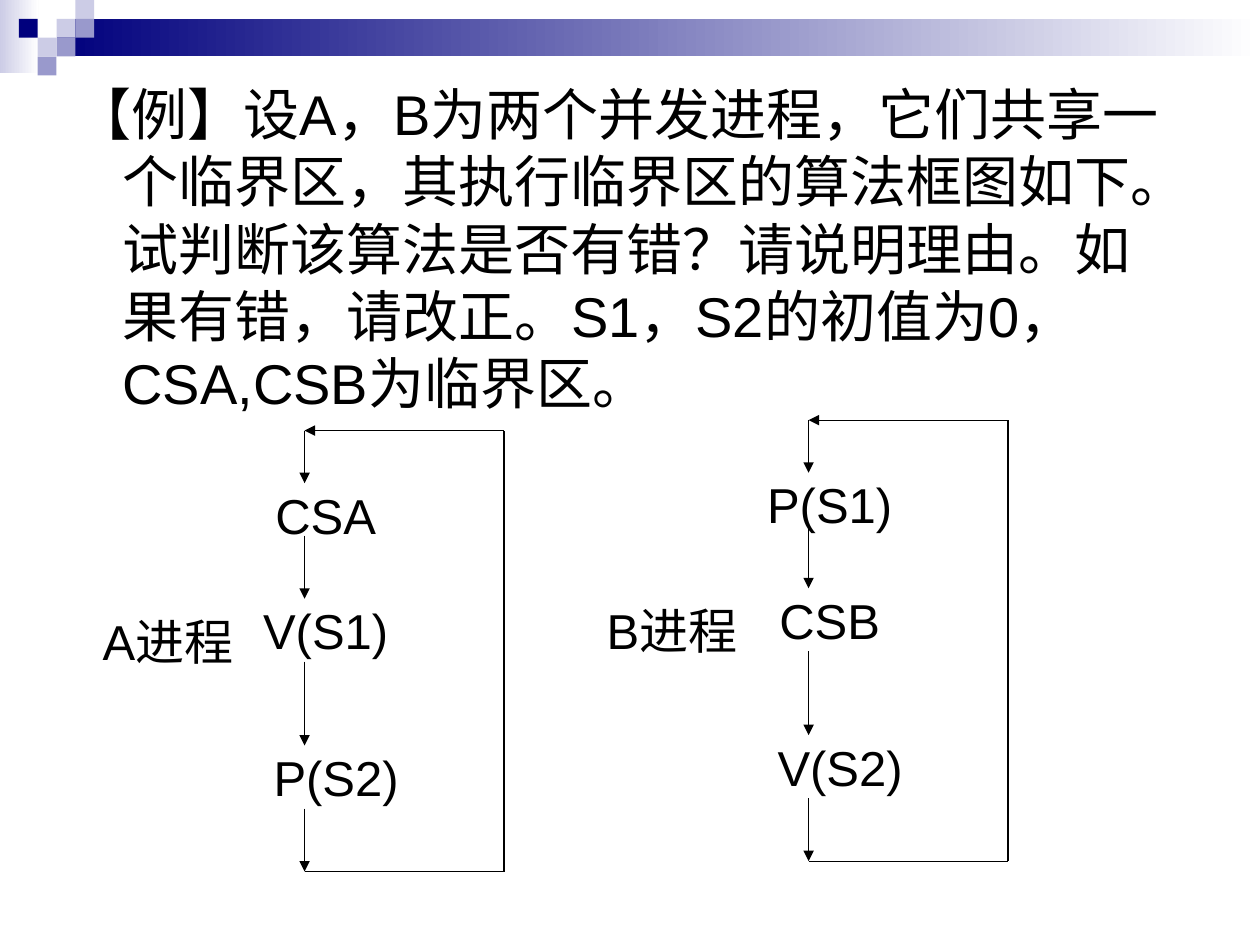
from dataclasses import dataclass

from lxml import etree
from pptx import Presentation
from pptx import util as u
from pptx.dml.color import RGBColor
from pptx.enum import shapes, text
from pptx.oxml.ns import qn
from pptx.slide import Slide

COLOURS = {
    "ink": "000000",
    "white": "FFFFFF",
    "navy": "00007D",
    "violet": "9999CC",
    "lavender": "CCCCE6",
}
FONT = "Arial"
CELL = 0.38  # side of a header square, cm
LABEL_WIDTH, LABEL_HEIGHT = 3.39, 1.69
LOOP_WIDTH, LOOP_HEIGHT = 4.02, 8.89

QUESTION = (
    "【例】设A，B为两个并发进程，它们共享一个临界区，其执行临界区的算法框图如下。"
    "试判断该算法是否有错？请说明理由。如果有错，请改正。"
    "S1，S2的初值为0，CSA,CSB为临界区。"
)


@dataclass(frozen=True)
class Square:
    column: int
    row: int
    colour: str


@dataclass(frozen=True)
class Process:
    name: str
    steps: tuple[str, str, str]
    x: float
    y: float


SQUARES = [
    Square(3, 1, "lavender"),
    Square(4, 0, "lavender"),
    Square(4, 1, "violet"),
    Square(2, 2, "lavender"),
    Square(1, 1, "navy"),
    Square(3, 2, "violet"),
    Square(2, 3, "violet"),
]
PROCESSES = [
    Process("A进程", ("CSA", "V(S1)", "P(S2)"), 6.14, 8.68),
    Process("B进程", ("P(S1)", "CSB", "V(S2)"), 16.3, 8.47),
]
# Offsets from the top left corner of a process loop, in cm
STEP_OFFSETS = [(-1.27, 0.85), (-1.27, 3.18), (-1.06, 6.14)]
NAME_OFFSET = (-4.45, 3.39)
ARROW_SPANS = [(0, 1.06), (2.12, 3.39), (4.66, 6.35), (7.62, LOOP_HEIGHT)]


def rgb(name: str) -> RGBColor:
    return RGBColor.from_string(COLOURS[name])


def add_rectangle(slide: Slide, left: float, top: float, width: float,
                  height: float, colour: str, fade: bool = False) -> None:
    """Draw a borderless rectangle, fading to white on the right if asked."""
    shape = slide.shapes.add_shape(
        shapes.MSO_SHAPE.RECTANGLE, u.Cm(left), u.Cm(top), u.Cm(width), u.Cm(height))
    shape.shadow.inherit = False
    shape.line.fill.background()
    if fade:
        shape.fill.gradient()
        shape.fill.gradient_angle = 0
        for stop, name in zip(shape.fill.gradient_stops, (colour, "white")):
            stop.color.rgb = rgb(name)
    else:
        shape.fill.solid()
        shape.fill.fore_color.rgb = rgb(colour)


def add_text(slide: Slide, content: str, left: float, top: float,
             width: float, height: float, size: int):
    box = slide.shapes.add_textbox(u.Cm(left), u.Cm(top), u.Cm(width), u.Cm(height))
    paragraph = box.text_frame.paragraphs[0]
    paragraph.text = content
    paragraph.font.name = FONT
    paragraph.font.size = u.Pt(size)
    paragraph.font.color.rgb = rgb("ink")
    return box.text_frame


def add_label(slide: Slide, content: str, left: float, top: float) -> None:
    frame = add_text(slide, content, left, top, LABEL_WIDTH, LABEL_HEIGHT, 28)
    frame.word_wrap = False
    frame.vertical_anchor = text.MSO_ANCHOR.MIDDLE
    frame.paragraphs[0].alignment = text.PP_ALIGN.CENTER


def add_line(slide: Slide, start: tuple[float, float], end: tuple[float, float],
             arrow: bool = False) -> None:
    connector = slide.shapes.add_connector(
        shapes.MSO_CONNECTOR.STRAIGHT, *map(u.Cm, start + end))
    connector.line.color.rgb = rgb("ink")
    connector.line.width = u.Pt(0.75)
    properties = connector._element.spPr
    if arrow:
        etree.SubElement(properties.find(qn("a:ln")), qn("a:tailEnd"), type="triangle")
    etree.SubElement(properties, qn("a:effectLst"))


def add_header(slide: Slide) -> None:
    add_rectangle(slide, 0, 0, 0.78, 1.48, "lavender", fade=True)
    add_rectangle(slide, 3 * CELL, CELL, 25.4 - 3 * CELL, 2 * CELL, "navy", fade=True)
    for square in SQUARES:
        add_rectangle(slide, square.column * CELL, square.row * CELL,
                      CELL, CELL, square.colour)


def add_question(slide: Slide) -> None:
    frame = add_text(slide, QUESTION, 1.27, 1.48, 22.86, 7.41, 32)
    frame.word_wrap = True
    properties = frame.paragraphs[0]._p.get_or_add_pPr()
    indent = u.Cm(0.95)
    properties.set("marL", str(indent))
    properties.set("indent", str(-indent))


def add_process(slide: Slide, process: Process) -> None:
    """Draw the steps of a process and the loop that leads back to the first."""
    labels = zip((*process.steps, process.name), (*STEP_OFFSETS, NAME_OFFSET))
    for content, (dx, dy) in labels:
        add_label(slide, content, process.x + dx, process.y + dy)
    for start, end in ARROW_SPANS:
        add_line(slide, (process.x, process.y + start),
                 (process.x, process.y + end), arrow=True)
    right, bottom = process.x + LOOP_WIDTH, process.y + LOOP_HEIGHT
    add_line(slide, (process.x, bottom), (right, bottom))
    add_line(slide, (right, bottom), (right, process.y))
    add_line(slide, (right, process.y), (process.x, process.y), arrow=True)


def main() -> None:
    presentation = Presentation()
    presentation.slide_width = u.Cm(25.4)
    presentation.slide_height = u.Cm(19.05)
    slide = presentation.slides.add_slide(presentation.slide_layouts[6])
    add_header(slide)
    add_question(slide)
    for process in PROCESSES:
        add_process(slide, process)
    presentation.save("out.pptx")


if __name__ == "__main__":
    main()
